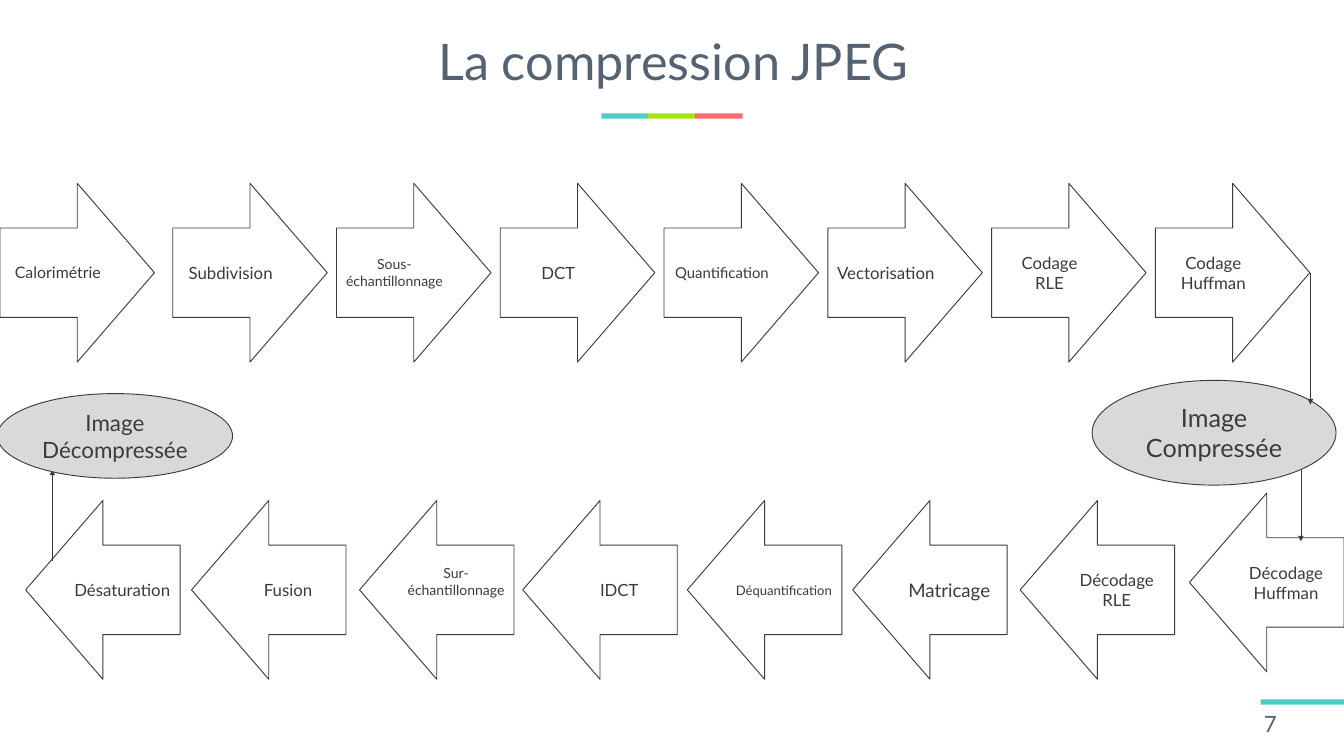
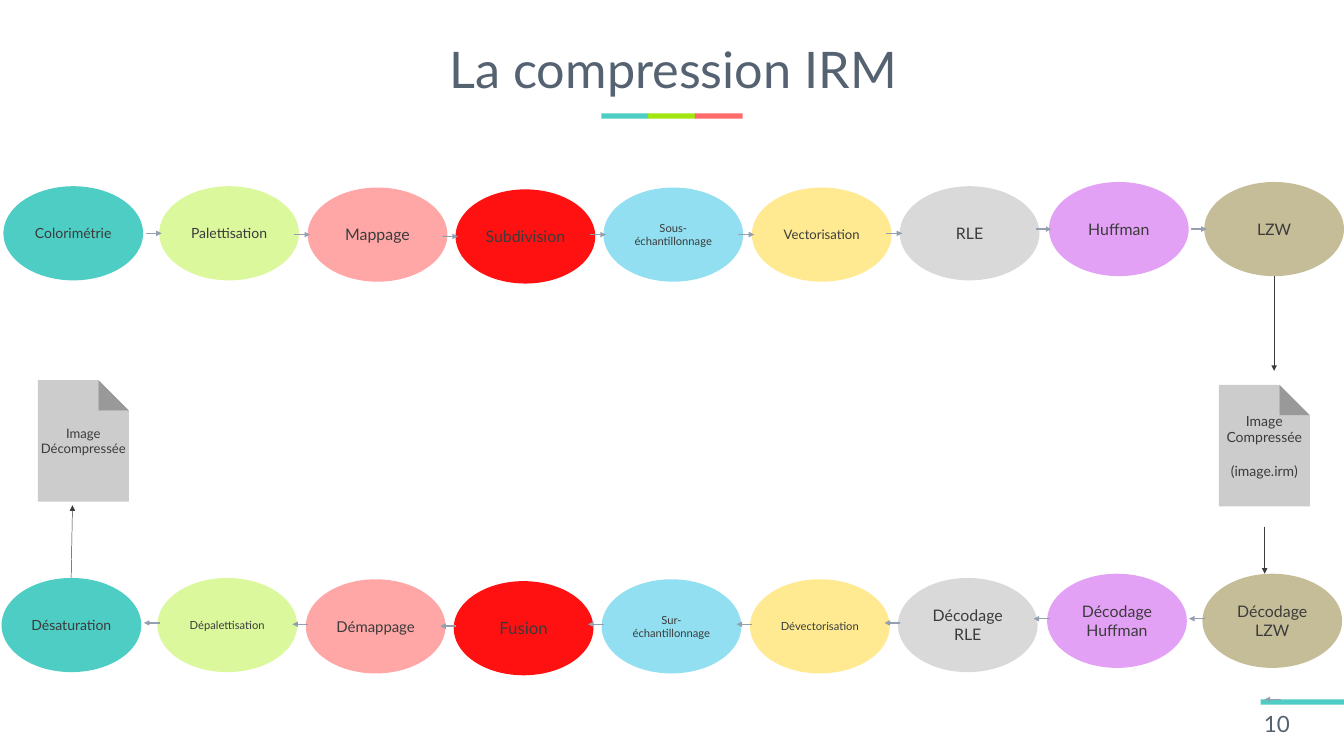
from itertools import pairwise
from typing import NamedTuple

from lxml.etree import SubElement
from pptx import Presentation
from pptx.dml.color import RGBColor
from pptx.enum.shapes import MSO_CONNECTOR, MSO_SHAPE
from pptx.enum.text import MSO_ANCHOR as Anchor, PP_ALIGN as Align
from pptx.oxml.ns import qn
from pptx.presentation import Presentation as Deck
from pptx.shapes.autoshape import Shape
from pptx.slide import Slide
from pptx.util import Cm, Pt

FONT = "Lato"
INK, SLATE, GREY_BLUE = "3B3B3B", "556272", "94A0AF"
TEAL, LIME, CORAL = "4ECDC4", "A3E511", "FF6B6B"
WHITE, PALE_GREY = "FFFFFF", "D9D9D9"


class Box(NamedTuple):
    """Left, top, width and height in centimetres."""
    x: float
    y: float
    w: float
    h: float


class Step(NamedTuple):
    """One block arrow of the JPEG chain."""
    x: float
    label: str
    size: int = 18
    lift: float = 0
    raised: float = 0


class Stage(NamedTuple):
    """One stage of the IRM chain with its inverse in the lower row."""
    x: float
    y: float
    fill: str
    coding: str
    coding_size: int
    decoding: str
    decoding_size: int


class Link(NamedTuple):
    x1: float
    y1: float
    x2: float
    y2: float


ARROW_W, ARROW_H = 5.84, 6.76
CODING_TOP, DECODING_TOP = 6.93, 18.92
SECOND_X, CODING_PITCH = 6.53, 6.19

CODING = [
    ("Calorimétrie", 17), ("Subdivision", 18), ("Sous-échantillonnage", 15),
    ("DCT", 18), ("Quantification", 16), ("Vectorisation", 18),
    ("Codage\nRLE", 18), ("Codage\nHuffman", 18),
]
DECODING = [
    Step(0.97, "Désaturation"),
    Step(7.24, "Fusion"),
    Step(13.59, "Sur-échantillonnage", 15, lift=0.64),
    Step(19.76, "IDCT"),
    Step(25.98, "Déquantification", 14),
    Step(32.23, "Matricage", 20),
    Step(38.56, "Décodage RLE"),
    Step(44.96, "Décodage Huffman", raised=0.28),
]
JPEG_LINKS = [
    Link(49.53, 10.31, 49.53, 15.29),
    Link(49.17, 17.75, 49.17, 20.47),
    Link(1.98, 21.21, 1.98, 17.75),
]

OVAL_W, OVAL_H = 5.28, 3.56
ROW_SHIFT_X, ROW_SHIFT_Y = -0.07, 14.81
LINK_LENGTH, LINK_OVERLAP = 0.6, 0.09

STAGES = [
    Stage(0.13, 7.04, TEAL, "Colorimétrie", 15, "Désaturation", 15),
    Stage(6.02, 7.04, "DBF89D", "Palettisation", 15, "Dépalettisation", 12),
    Stage(11.63, 7.09, "FFA6A6", "Mappage", 17, "Démappage", 16),
    Stage(17.22, 7.16, "FF1111", "Subdivision", 17, "Fusion", 18),
    Stage(22.81, 7.09, "91DFF1", "Sous-échantillonnage", 12,
          "Sur-échantillonnage", 12),
    Stage(28.42, 7.09, "FFEA91", "Vectorisation", 14, "Dévectorisation", 12),
    Stage(34.01, 7.04, PALE_GREY, "RLE", 17, "Décodage RLE", 17),
    Stage(39.65, 6.88, "E3A1F5", "Huffman", 17, "Décodage Huffman", 17),
    Stage(45.52, 6.88, "C4BD97", "LZW", 17, "Décodage LZW", 17),
]
IRM_LINKS = [
    Link(48.16, 10.44, 48.16, 14.02),
    Link(47.8, 19.91, 47.8, 21.69),
    Link(2.69, 21.84, 2.74, 19.1),
]


def rgb(value: str) -> RGBColor:
    return RGBColor.from_string(value)


def write(shape: Shape, text: str, *, size: int, color: str = INK,
          align: Align = Align.CENTER, spacing: float = 1,
          lift: float = 0, last_gap: int = 0) -> None:
    """Fill a shape with text, one paragraph a line; lift moves it up."""
    frame = shape.text_frame
    frame.word_wrap = True
    frame.vertical_anchor = Anchor.MIDDLE
    frame.margin_bottom = Cm(0.13 + lift)
    frame.text = text
    for paragraph in frame.paragraphs:
        paragraph.alignment = align
        paragraph.line_spacing = spacing
        font = paragraph.font
        font.name, font.size = FONT, Pt(size)
        font.color.rgb = rgb(color)
    if last_gap:
        frame.paragraphs[-1].space_before = Pt(last_gap)


def add_block(slide: Slide, kind: MSO_SHAPE, box: Box, fill: str,
              outline: str | None = None) -> Shape:
    block = slide.shapes.add_shape(kind, *map(Cm, box))
    block.shadow.inherit = False
    block.fill.solid()
    block.fill.fore_color.rgb = rgb(fill)
    if outline:
        block.line.color.rgb = rgb(outline)
        block.line.width = Pt(1)
    else:
        block.line.fill.background()
    return block


def add_text(slide: Slide, box: Box, text: str, **style) -> None:
    write(slide.shapes.add_textbox(*map(Cm, box)), text, **style)


def add_link(slide: Slide, link: Link, color: str = INK,
             width: float = 0.5) -> None:
    """Draw a straight line with an arrowhead at its end."""
    line = slide.shapes.add_connector(MSO_CONNECTOR.STRAIGHT, *map(Cm, link))
    line.line.color.rgb = rgb(color)
    line.line.width = Pt(width)
    SubElement(line.line._get_or_add_ln(), qn("a:tailEnd"), type="triangle")
    SubElement(line._element.spPr, qn("a:effectLst"))


def add_page(deck: Deck, title: str, title_top: float, number: int) -> Slide:
    slide = deck.slides.add_slide(deck.slide_layouts[6])
    for i, color in enumerate((TEAL, LIME, CORAL)):
        add_block(slide, MSO_SHAPE.RECTANGLE,
                  Box(22.73 + 1.77 * i, 4.29, 1.8, 0.2), color)
    add_block(slide, MSO_SHAPE.RECTANGLE, Box(47.65, 26.44, 3.15, 0.2), TEAL)
    add_text(slide, Box(1.37, title_top, 48.16, 3.56), title,
             size=54, color=SLATE, spacing=0.9)
    add_text(slide, Box(47.52, 26.67, 3.28, 1.35), str(number),
             size=24, color=SLATE, align=Align.LEFT)
    return slide


def add_step(slide: Slide, kind: MSO_SHAPE, step: Step, top: float) -> None:
    box = Box(step.x, top - step.raised, ARROW_W, ARROW_H)
    arrow = add_block(slide, kind, box, WHITE, INK)
    write(arrow, step.label, size=step.size, lift=step.lift)


def add_result(slide: Slide, box: Box, text: str, size: int) -> None:
    oval = add_block(slide, MSO_SHAPE.OVAL, box, PALE_GREY, INK)
    write(oval, text, size=size)


def add_document(slide: Slide, box: Box, text: str, **style) -> None:
    document = add_block(slide, MSO_SHAPE.ACTION_BUTTON_DOCUMENT, box, WHITE)
    write(document, text, **style)


def build_jpeg(deck: Deck) -> None:
    slide = add_page(deck, "La compression JPEG", 0.64, 7)
    for i, (label, size) in enumerate(CODING):
        x = SECOND_X + CODING_PITCH * (i - 1) if i else 0
        add_step(slide, MSO_SHAPE.RIGHT_ARROW, Step(x, label, size), CODING_TOP)
    for step in DECODING:
        add_step(slide, MSO_SHAPE.LEFT_ARROW, step, DECODING_TOP)
    add_result(slide, Box(41.28, 14.38, 9.22, 3.96), "Image Compressée", 27)
    for link in JPEG_LINKS:
        add_link(slide, link)
    add_result(slide, Box(-0.1, 14.88, 8.89, 3.2), "Image Décompressée", 24)


def add_stage(slide: Slide, x: float, y: float, fill: str, label: str,
              size: int) -> None:
    oval = add_block(slide, MSO_SHAPE.OVAL, Box(x, y, OVAL_W, OVAL_H), fill)
    write(oval, label, size=size)


def build_irm(deck: Deck) -> None:
    slide = add_page(deck, "La compression IRM", 0.97, 10)
    add_document(slide, Box(44.4, 13.79, 6.78, 6.12),
                 "Image\nCompressée\n(image.irm)", size=15, last_gap=18)
    for stage in STAGES:
        add_stage(slide, stage.x, stage.y, stage.fill,
                  stage.coding, stage.coding_size)
        add_stage(slide, stage.x + ROW_SHIFT_X, stage.y + ROW_SHIFT_Y,
                  stage.fill, stage.decoding, stage.decoding_size)
    for _, following in pairwise(STAGES):
        near = following.x + LINK_OVERLAP
        far = near - LINK_LENGTH
        middle = following.y + OVAL_H / 2
        low = middle + ROW_SHIFT_Y - 0.08
        add_link(slide, Link(far, middle, near, middle), GREY_BLUE, 1.5)
        add_link(slide, Link(near + ROW_SHIFT_X, low, far + ROW_SHIFT_X, low),
                 GREY_BLUE, 1.5)
    add_link(slide, Link(48.41, 26.44, 47.8, 26.44), GREY_BLUE, 1.5)
    add_document(slide, Box(0, 13.61, 6.3, 6.12), "Image\nDécompressée", size=14)
    for link in IRM_LINKS:
        add_link(slide, link)


def main() -> None:
    deck = Presentation()
    deck.slide_width, deck.slide_height = Cm(50.8), Cm(28.58)
    build_jpeg(deck)
    build_irm(deck)
    deck.save("out.pptx")


if __name__ == "__main__":
    main()
